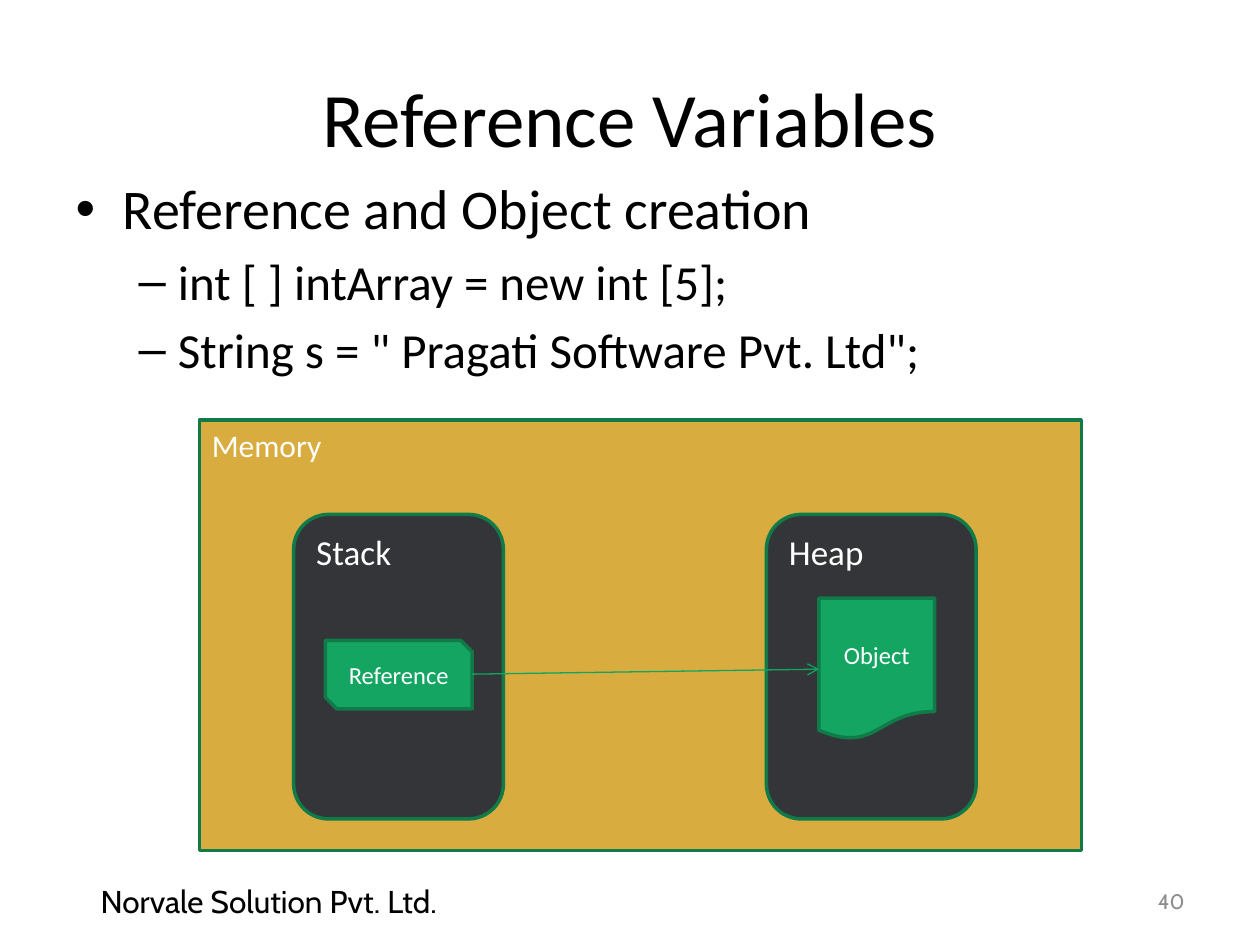
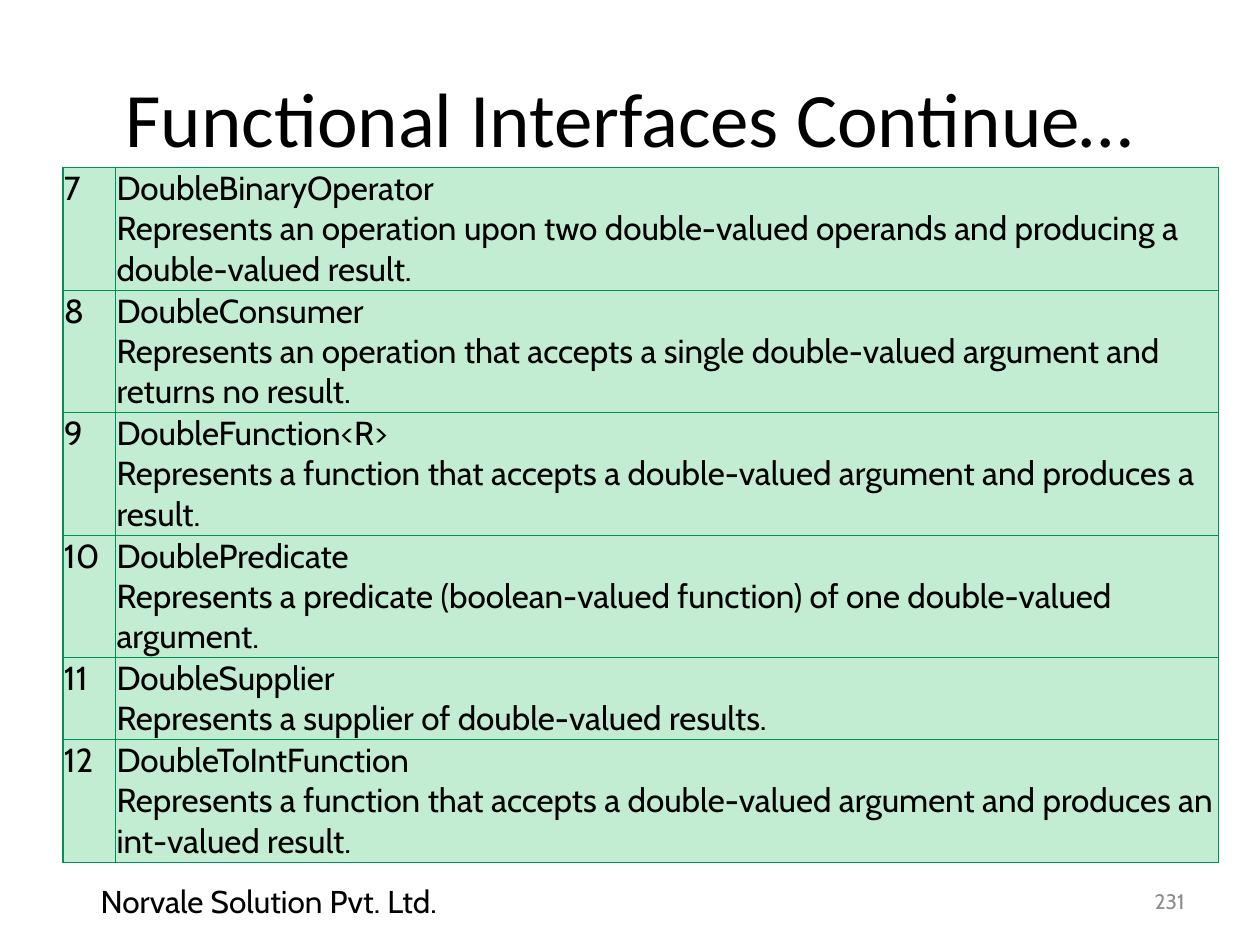
from lxml.etree import SubElement
from pptx import Presentation
from pptx.dml.color import RGBColor
from pptx.enum.shapes import MSO_CONNECTOR as Line, MSO_SHAPE as Shape
from pptx.enum.text import MSO_ANCHOR as Anchor, MSO_AUTO_SIZE as Fit, PP_ALIGN as Align
from pptx.oxml import parse_xml
from pptx.oxml.ns import nsdecls, qn
from pptx.util import Cm, Pt

BLACK = RGBColor(0x00, 0x00, 0x00)
WHITE = RGBColor(0xFF, 0xFF, 0xFF)
GREY = RGBColor(0x8C, 0x8C, 0x8C)
GOLD = RGBColor(0xD8, 0xAC, 0x3E)
CHARCOAL = RGBColor(0x33, 0x35, 0x38)
GREEN = RGBColor(0x15, 0xA5, 0x63)
DARK_GREEN = RGBColor(0x10, 0x7A, 0x49)
ARROW_GREEN = RGBColor(0x11, 0xA5, 0x61)
PALE_GREEN = RGBColor(0xC2, 0xED, 0xD2)
BORDER_GREEN = RGBColor(0x00, 0x91, 0x58)

HEADING_FONT, TEXT_FONT = "Calibri", "Cabin"
FOOTER = "Norvale Solution Pvt. Ltd."

INTERFACES = [
    ("DoubleBinaryOperator", "Represents an operation upon two double-valued operands "
     "and producing a double-valued result."),
    ("DoubleConsumer", "Represents an operation that accepts a single double-valued "
     "argument and returns no result."),
    ("DoubleFunction<R>", "Represents a function that accepts a double-valued argument "
     "and produces a result."),
    ("DoublePredicate", "Represents a predicate (boolean-valued function) of one "
     "double-valued argument."),
    ("DoubleSupplier", "Represents a supplier of double-valued results."),
    ("DoubleToIntFunction", "Represents a function that accepts a double-valued argument "
     "and produces an int-valued result."),
]
FIRST_NUMBER = 7


def write(paragraph, text, *, size, font=HEADING_FONT, color=BLACK,
          align=Align.LEFT, level=0, before=0):
    paragraph.text = text
    paragraph.level = level
    paragraph.alignment = align
    paragraph.space_before = Pt(before)
    for run in paragraph.runs:
        run.font.name = font
        run.font.size = Pt(size)
        run.font.color.rgb = color


class Deck:
    def __init__(self):
        self.prs = Presentation()
        self.prs.slide_width, self.prs.slide_height = Cm(25.4), Cm(19.05)
        self.slide = None

    def start(self, title, number, layout):
        """Add a slide with its title, footer and page number."""
        self.slide = self.prs.slides.add_slide(self.prs.slide_layouts[layout])
        frame = self.place(self.slide.shapes.title, 1.27, 0.76, 22.86, 3.18)
        frame.vertical_anchor = Anchor.MIDDLE
        write(frame.paragraphs[0], title, size=44, align=Align.CENTER)
        self.label(FOOTER, 1.78, 9.65, size=18)
        self.label(number, 22.43, 1.7, size=12, color=GREY, align=Align.RIGHT)

    def place(self, holder, left, top, width, height):
        holder.left, holder.top = Cm(left), Cm(top)
        holder.width, holder.height = Cm(width), Cm(height)
        holder.text_frame.auto_size = Fit.NONE
        return holder.text_frame

    def label(self, text, left, width, **style):
        box = self.slide.shapes.add_textbox(Cm(left), Cm(17.65), Cm(width), Cm(1.02))
        box.text_frame.word_wrap = True
        box.text_frame.vertical_anchor = Anchor.MIDDLE
        write(box.text_frame.paragraphs[0], text, font=TEXT_FONT, **style)

    def bullets(self, items):
        frame = self.place(self.slide.placeholders[1], 1.27, 3.38, 22.86, 13.72)
        for index, (level, text) in enumerate(items):
            paragraph = frame.add_paragraph() if index else frame.paragraphs[0]
            size = 28 if level else 32
            write(paragraph, text, size=size, level=level,
                  before=size * 0.2 if index else 0)

    def block(self, kind, text, left, top, width, height, fill, *,
              anchor=Anchor.TOP, **style):
        block = self.slide.shapes.add_shape(kind, Cm(left), Cm(top), Cm(width), Cm(height))
        block.shadow.inherit = False
        block.fill.solid()
        block.fill.fore_color.rgb = fill
        block.line.color.rgb = DARK_GREEN
        block.line.width = Pt(2)
        block.text_frame.vertical_anchor = anchor
        write(block.text_frame.paragraphs[0], text, color=WHITE, **style)

    def arrow(self, x1, y1, x2, y2):
        arrow = self.slide.shapes.add_connector(
            Line.STRAIGHT, Cm(x1), Cm(y1), Cm(x2), Cm(y2))
        arrow.line.color.rgb = ARROW_GREEN
        arrow.line.width = Pt(0.75)
        properties = arrow.element.spPr
        SubElement(properties.find(qn("a:ln")), qn("a:tailEnd"), type="arrow")
        SubElement(properties, qn("a:effectLst"))

    def table(self, rows, left, top, widths, heights):
        table = self.slide.shapes.add_table(
            len(rows), len(widths), Cm(left), Cm(top),
            Cm(sum(widths)), Cm(sum(heights))).table
        table.first_row = table.horz_banding = False
        for column, width in zip(table.columns, widths):
            column.width = Cm(width)
        for row, height, texts in zip(table.rows, heights, rows):
            row.height = Cm(height)
            for cell, text in zip(row.cells, texts):
                self.cell(cell, text)

    def cell(self, cell, text):
        cell.margin_left = cell.margin_right = Cm(0.02)
        cell.margin_top = cell.margin_bottom = Cm(0.02)
        cell.fill.solid()
        cell.fill.fore_color.rgb = PALE_GREEN
        write(cell.text_frame.paragraphs[0], text, size=19, font=TEXT_FONT)
        # Borders come before the fill
        properties = cell._tc.get_or_add_tcPr()
        for index, side in enumerate("LRTB"):
            properties.insert(index, parse_xml(
                f'<a:ln{side} {nsdecls("a")} w="{Pt(0.75)}"><a:solidFill>'
                f'<a:srgbClr val="{BORDER_GREEN}"/></a:solidFill></a:ln{side}>'))


def reference_variables(deck):
    deck.start("Reference Variables", "40", layout=1)
    deck.bullets([
        (0, "Reference and Object creation"),
        (1, "int [ ] intArray = new int [5];"),
        (1, 'String s = " Pragati Software Pvt. Ltd";'),
    ])
    # Memory with its two areas
    deck.block(Shape.RECTANGLE, "Memory", 4.02, 8.47, 17.78, 8.68, GOLD, size=18)
    for area, left in (("Stack", 5.92), ("Heap", 15.45)):
        deck.block(Shape.ROUNDED_RECTANGLE, area, left, 10.37, 4.23, 6.14,
                   CHARCOAL, size=20)
    # Reference pointing to its object
    centred = dict(anchor=Anchor.MIDDLE, align=Align.CENTER, size=14)
    deck.block(Shape.SNIP_2_DIAG_RECTANGLE, "Reference", 6.56, 12.91, 2.96, 1.38,
               GREEN, **centred)
    deck.block(Shape.FLOWCHART_DOCUMENT, "Object", 16.51, 12.06, 2.33, 2.85,
               GREEN, **centred)
    deck.arrow(9.52, 13.59, 16.51, 13.49)


def functional_interfaces(deck):
    deck.start("Functional Interfaces Continue…", "231", layout=5)
    rows = [(str(number), f"{name}\v{meaning}")
            for number, (name, meaning) in enumerate(INTERFACES, FIRST_NUMBER)]
    # Short meanings fit on one line
    heights = [2.47 if len(meaning) > 60 else 1.65 for _, meaning in INTERFACES]
    deck.table(rows, 1.27, 3.38, [1.06, 22.23], heights)


def main():
    deck = Deck()
    reference_variables(deck)
    functional_interfaces(deck)
    deck.prs.save("out.pptx")


if __name__ == "__main__":
    main()
